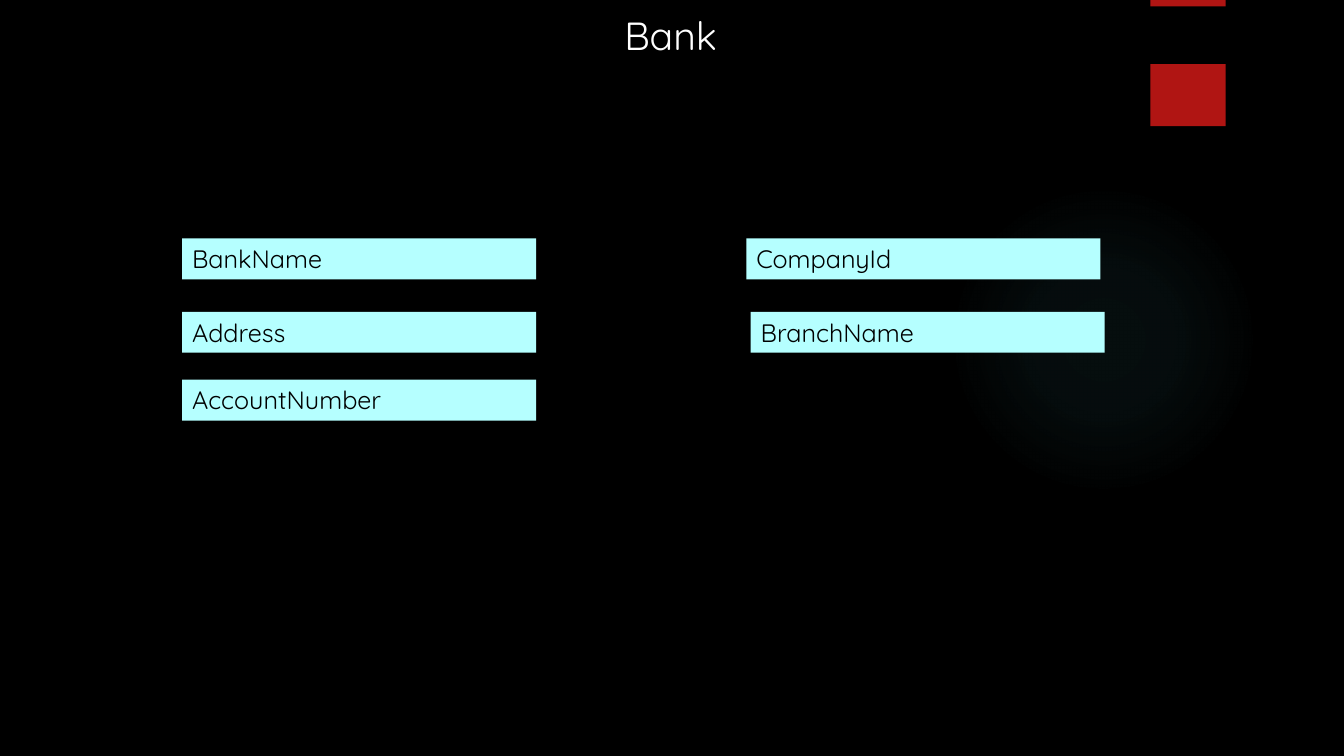
from pptx import Presentation
from pptx import util as u
from pptx.dml.color import RGBColor
from pptx.enum import shapes, text
from pptx.oxml import parse_xml
from pptx.oxml.ns import nsdecls

BLACK = RGBColor(0x00, 0x00, 0x00)
WHITE = RGBColor(0xFF, 0xFF, 0xFF)
RED = RGBColor(0xB0, 0x15, 0x13)
AQUA = RGBColor(0xB5, 0xFF, 0xFF)
TEAL = RGBColor(0x50, 0xB9, 0xC1)
FONT = "Quicksand"
GLOW_STOPS = [(0, 7), (36, 6), (69, 0)]
FIELD_ROWS = [
    (0, [(0, "BankName"), (14.22, "CompanyId")]),
    (1.85, [(0, "Address"), (14.33, "BranchName")]),
    (3.56, [(0, "AccountNumber")]),
]


def add_plain_shape(slide, kind, left, top, width, height, colour):
    """Add a filled shape without outline or shadow, measured in centimetres."""
    plain = slide.shapes.add_shape(kind, u.Cm(left), u.Cm(top), u.Cm(width), u.Cm(height))
    plain.shadow.inherit = False
    plain.fill.solid()
    plain.fill.fore_color.rgb = colour
    plain.line.fill.background()
    return plain


def add_label(slide, wording, left, top, width, height, fill, colour, size, align):
    """Add a filled text box holding one line."""
    label = slide.shapes.add_textbox(u.Cm(left), u.Cm(top), u.Cm(width), u.Cm(height))
    label.fill.solid()
    label.fill.fore_color.rgb = fill
    frame = label.text_frame
    frame.word_wrap = True
    frame.auto_size = text.MSO_AUTO_SIZE.SHAPE_TO_FIT_TEXT
    line = frame.paragraphs[0]
    line.text = wording
    line.alignment = align
    line.font.name = FONT
    line.font.size = u.Pt(size)
    line.font.color.rgb = colour


def add_glow(slide, left, top, diameter):
    """Add the circle that fades out from its centre."""
    glow = add_plain_shape(slide, shapes.MSO_SHAPE.OVAL, left, top, diameter, diameter, TEAL)
    stops = "".join(
        f'<a:gs pos="{place * 1000}"><a:srgbClr val="{TEAL}">'
        f'<a:alpha val="{opacity * 1000}"/></a:srgbClr></a:gs>'
        for place, opacity in GLOW_STOPS
    )
    gradient = parse_xml(
        f'<a:gradFill {nsdecls("a")} rotWithShape="1"><a:gsLst>{stops}</a:gsLst>'
        '<a:path path="circle"><a:fillToRect l="50000" t="50000" r="50000" b="50000"/>'
        "</a:path></a:gradFill>"
    )
    properties = glow.element.spPr
    properties.replace(properties.solidFill, gradient)


def add_backdrop(slide, width):
    """Paint the background, the glow and the red tab at the top right."""
    slide.background.fill.solid()
    slide.background.fill.fore_color.rgb = BLACK
    add_glow(slide, width - 9.97, 4.65, 7.82)
    add_plain_shape(slide, shapes.MSO_SHAPE.RECTANGLE, width - 4.88, 0, 1.9, 3.18, RED)


def add_title(slide, left, top, width, height):
    """Place the entity name on a black band."""
    add_label(slide, "Bank", left, top, width, height, BLACK, WHITE, 28, text.PP_ALIGN.CENTER)


def add_fields(slide, left, top, width, height):
    """Place the field boxes of the entity, row by row."""
    for row_offset, fields in FIELD_ROWS:
        for column_offset, field in fields:
            add_label(slide, field, left + column_offset, top + row_offset, width, height,
                      AQUA, BLACK, 18, text.PP_ALIGN.LEFT)


def main():
    """Build the slide and save it."""
    deck = Presentation()
    deck.slide_width, deck.slide_height = u.Cm(33.87), u.Cm(19.05)
    slide = deck.slides.add_slide(deck.slide_layouts[6])
    add_backdrop(slide, 33.87)
    add_title(slide, 0.3, 0.16, 33.2, 1.45)
    add_fields(slide, 4.59, 6.01, 8.92, 1.03)
    deck.save("out.pptx")


if __name__ == "__main__":
    main()
